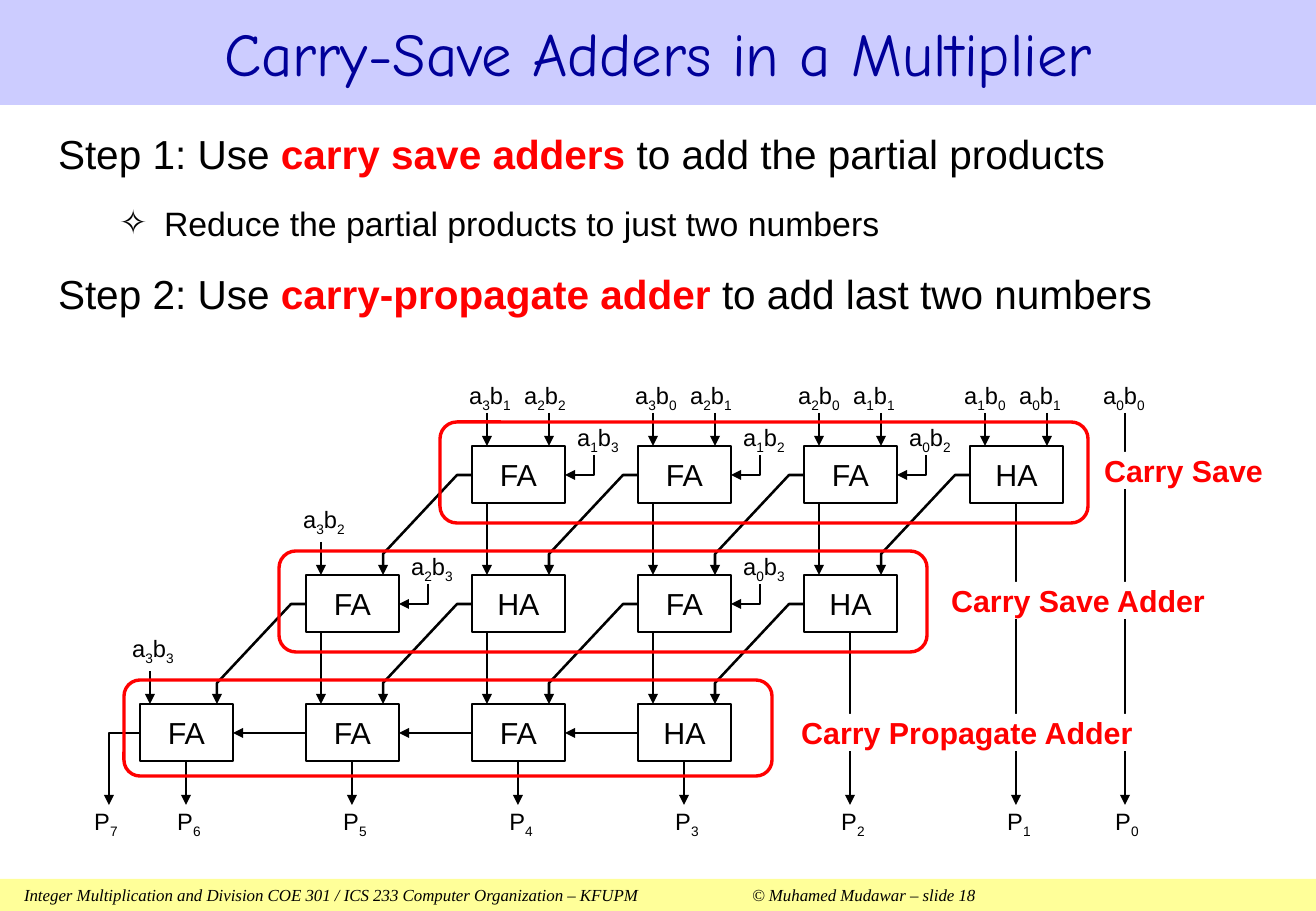
from pptx import Presentation
from pptx import util as u
from pptx.dml.color import RGBColor
from pptx.enum import shapes, text
from pptx.oxml.ns import qn
from lxml import etree

SCALE = 914400 / 121.5
BLACK, RED, WHITE = "000000", "FF0000", "FFFFFF"
MID = text.PP_ALIGN.CENTER
LEFT = text.PP_ALIGN.LEFT
SHAPE = shapes.MSO_SHAPE


def px(*vals):
    return [u.Emu(round(v * SCALE)) for v in vals]


def tint(code):
    return RGBColor.from_string(code)


def apply(item, vals):
    for key, val in vals.items():
        setattr(item, key, val)


def node(up, tag, **atts):
    return etree.SubElement(up, qn(tag), atts)


class Deck:
    """Holds the style and the current slide, and adds each kind of element."""

    face = "Arial"
    frame = {"word_wrap": True, "auto_size": text.MSO_AUTO_SIZE.NONE,
             "margin_left": 0, "margin_right": 0, "margin_top": 0, "margin_bottom": 0}

    def __init__(self, wide, high):
        self.file = Presentation()
        apply(self.file, dict(zip(("slide_width", "slide_height"), px(wide, high))))
        self.slide = self.file.slides.add_slide(self.file.slide_layouts[1])
        self.items = self.slide.shapes

    def run(self, para, words, size, color=BLACK, **form):
        run = para.add_run()
        run.text = words
        apply(run.font, {"name": self.face, "size": u.Pt(size), "bold": False, **form})
        run.font.color.rgb = tint(color)
        return run

    def place(self, item, *box):
        apply(item, dict(zip(("left", "top", "width", "height"), px(*box))))

    def title(self, words, *box):
        item = self.items.title
        self.place(item, *box)
        item.fill.solid()
        item.fill.fore_color.rgb = tint("CCCCFF")
        apply(item.text_frame, {**self.frame, "vertical_anchor": text.MSO_ANCHOR.MIDDLE})
        para = item.text_frame.paragraphs[0]
        para.alignment = MID
        self.run(para, words, 36, "000099", name="Comic Neue")

    def body(self, rows, *box):
        item = self.slide.placeholders[1]
        self.place(item, *box)
        frame = item.text_frame
        inset = dict(zip(("margin_left", "margin_top"), px(12, 6)))
        apply(frame, {**self.frame, **inset})
        for num, (level, size, runs) in enumerate(rows):
            para = frame.add_paragraph() if num else frame.paragraphs[0]
            apply(para, {"level": level, "space_before": u.Pt(15), "line_spacing": 1.0})
            prop = para._p.get_or_add_pPr()
            left, hang = px(*((106, -45) if level else (46, -46)))
            prop.set("marL", str(left))
            prop.set("indent", str(hang))
            if level:
                node(prop, "a:buChar", char="✧")
            else:
                node(prop, "a:buNone")
            for words, color in runs:
                self.run(para, words, size, color, bold=color == RED)

    def box(self, kind, *box, words="", size=18, fill=None, line=None, width=1.5,
            color=BLACK, align=MID, **form):
        item = self.items.add_shape(kind, *px(*box))
        item.shadow.inherit = False
        for paint, code in ((item.fill, fill), (item.line.fill, line)):
            if code:
                paint.solid()
                paint.fore_color.rgb = tint(code)
            else:
                paint.background()
        if line:
            item.line.width = u.Pt(width)
        if words:
            apply(item.text_frame, {**self.frame, "vertical_anchor": text.MSO_ANCHOR.MIDDLE})
            para = item.text_frame.paragraphs[0]
            para.alignment = align
            self.run(para, words, size, color, **form)
        return item

    def label(self, words, mid, top):
        item = self.items.add_textbox(*px(mid - 30, top, 60, 32))
        apply(item.text_frame, self.frame)
        para = item.text_frame.paragraphs[0]
        para.alignment = MID
        for char in words:
            run = self.run(para, char, 14)
            if char.isdigit():
                run._r.get_or_add_rPr().set("baseline", "-25000")

    def arrow(self, *spots):
        if len(spots) == 2:
            kind = shapes.MSO_CONNECTOR.STRAIGHT
            item = self.items.add_connector(kind, *px(*spots[0], *spots[1]))
        else:
            bend = self.items.build_freeform(*spots[0], scale=SCALE)
            bend.add_line_segments(spots[1:], close=False)
            item = bend.convert_to_shape()
            item.fill.background()
        item.line.color.rgb = tint(BLACK)
        item.line.width = u.Pt(1.5)
        prop = item._element.spPr
        node(prop.find(qn("a:ln")), "a:tailEnd", type="triangle")
        node(prop, "a:effectLst")


deck = Deck(1316, 911)
deck.title("Carry-Save Adders in a Multiplier", 0, 0, 1316, 105)
deck.body([
    (0, 24, [("Step 1: Use ", BLACK), ("carry save adders ", RED),
             ("to add the partial products", BLACK)]),
    (1, 20, [("Reduce the partial products to just two numbers", BLACK)]),
    (0, 24, [("Step 2: Use ", BLACK), ("carry-propagate adder ", RED),
             ("to add last two numbers", BLACK)]),
], 46, 123, 1228, 225)

foot = deck.box(SHAPE.RECTANGLE, 0, 879, 1316, 32, size=10, fill="FFFF99", align=LEFT,
                name="Times New Roman", italic=True,
                words="Integer Multiplication and Division COE 301 / ICS 233 "
                      "Computer Organization – KFUPM\t© Muhamed Mudawar – slide 18")
foot.text_frame.margin_left, stop = px(24, 728)
tabs = node(foot.text_frame.paragraphs[0]._p.get_or_add_pPr(), "a:tabLst")
node(tabs, "a:tab", pos=str(stop), algn="l")

WIDE, HIGH, END = 93, 57, 805
ROWS = [(2, ["FA", "FA", "FA", "HA"]), (1, ["FA", "HA", "FA", "HA"]),
        (0, ["FA", "FA", "FA", "HA"])]
TOPS = {2: ("a3b1", "a2b2", 18), 3: ("a3b0", "a2b1", 18),
        4: ("a2b0", "a1b1", 15), 5: ("a1b0", "a0b1", 15)}
SIDES = {(0, 2): "a1b3", (0, 3): "a1b2", (0, 4): "a0b2", (1, 1): "a2b3", (1, 3): "a0b3"}

for row, (first, kinds) in enumerate(ROWS):
    top = 446 + 129 * row
    mid, base, nxt = top + 29, top + HIGH, top + 129
    for col, kind in enumerate(kinds, first):
        left = 140 + 166 * col
        deck.box(SHAPE.RECTANGLE, left, top, WIDE, HIGH, words=kind, line=BLACK)
        if row == 0:
            one, two, gap = TOPS[col]
            for word, shift, spot in ((one, 0, 15), (two, 55, 77)):
                deck.label(word, left + gap + shift, 381)
                deck.arrow((left + spot, 413), (left + spot, top))
        if (row, col) in SIDES:
            deck.label(SIDES[row, col], left + 126, top - 23)
            deck.arrow((left + 122, top + 9), (left + 122, mid), (left + WIDE, mid))
        if row < 2:
            deck.arrow((left, mid), (left - 15, mid), (left - 89, nxt - 21), (left - 89, nxt))
        elif col:
            deck.arrow((left, mid), (left - 166 + WIDE, mid))
        if row < 2 and col < first + 3:
            deck.arrow((left + 15, base), (left + 15, nxt))
        else:
            deck.arrow((left + 46, base), (left + 46, END))
            deck.label(f"P{6 - col}", left + 49, END + 2)

for word, spot, mid, top in (("a3b2", 321, 324, 575), ("a3b3", 150, 153, 704)):
    deck.label(word, mid, top - 70)
    deck.arrow((spot, top - 33), (spot, top))
deck.label("a0b0", 1124, 381)
deck.arrow((1125, 413), (1125, END))
deck.label("P0", 1127, END + 2)
deck.arrow((140, 733), (109, 733), (109, END))
deck.label("P7", 106, END + 2)

for left, top, high, words, start, width, level in (
        (440, 422, 101, "Carry Save", 1093, 181, 452),
        (279, 551, 101, "Carry Save Adder", 933, 290, 582),
        (124, 680, 96, "Carry Propagate Adder", 778, 378, 714)):
    deck.box(SHAPE.ROUNDED_RECTANGLE, left, top, 648, high, line=RED, width=2)
    deck.box(SHAPE.RECTANGLE, start, level, width, 37, words=words, fill=WHITE,
             color=RED, bold=True)

deck.file.save("out.pptx")
